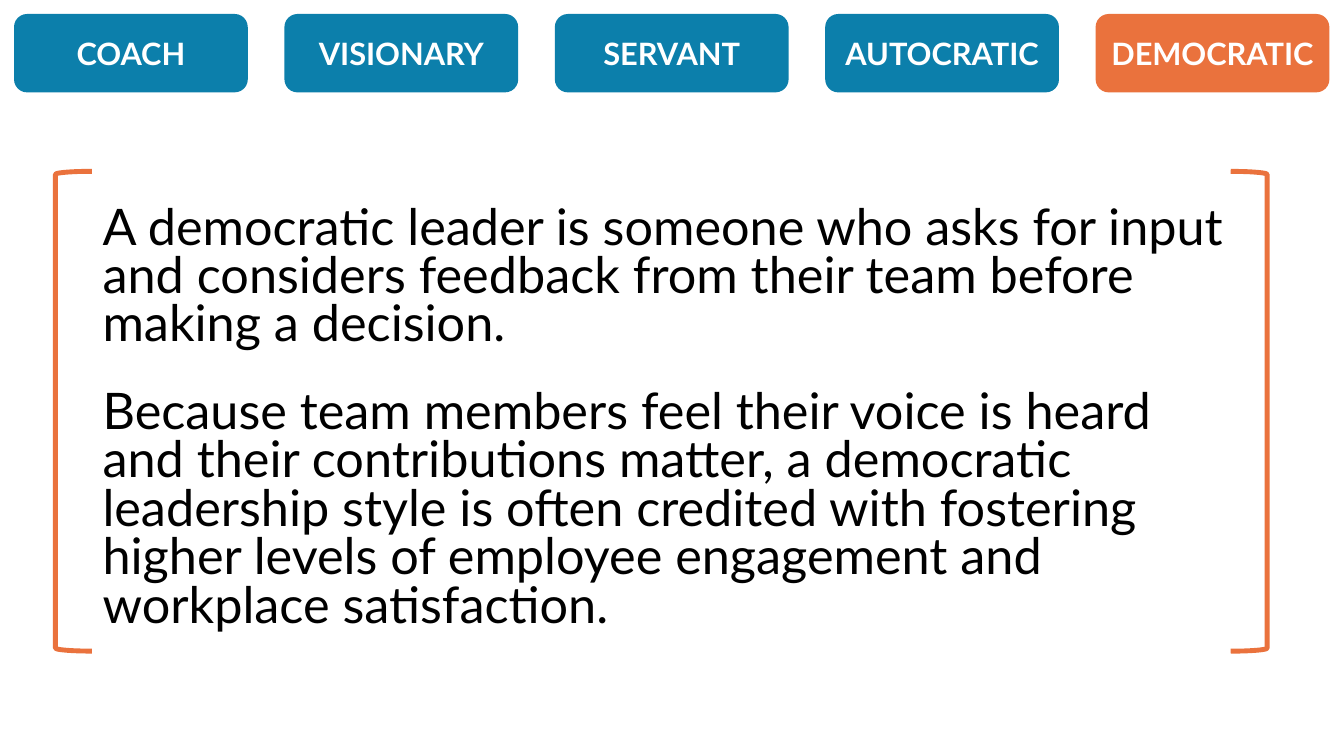
"""Builds the democratic leadership slide."""
from pptx import Presentation
from pptx.dml.color import RGBColor
from pptx.enum.shapes import MSO_SHAPE
from pptx.enum.text import MSO_ANCHOR, PP_ALIGN
from pptx.util import Pt

ROUNDED = MSO_SHAPE.ROUNDED_RECTANGLE
BRACKET = MSO_SHAPE.LEFT_BRACKET
MIDDLE = MSO_ANCHOR.MIDDLE
CENTER = PP_ALIGN.CENTER

FONT = "Lato"
BLUE, ORANGE, WHITE, BLACK = "0C7FAB", "EA723D", "FFFFFF", "000000"
STYLES = ["COACH", "VISIONARY", "SERVANT", "AUTOCRATIC", "DEMOCRATIC"]
CURRENT = "DEMOCRATIC"
TAB_LEFT, TAB_STEP = 10, 193.15
BODY = [
    "A democratic leader is someone who asks for input and considers "
    "feedback from their team before making a decision.",
    "Because team members feel their voice is heard and their contributions "
    "matter, a democratic leadership style is often credited with fostering "
    "higher levels of employee engagement and workplace satisfaction.",
]


def rgb(color):
    """Return a colour from its hex string."""
    return RGBColor.from_string(color)


def set_font(p, size, color, bold=False):
    """Set the font of a whole paragraph."""
    p.font.name = FONT
    p.font.size = Pt(size)
    p.font.bold = bold
    p.font.color.rgb = rgb(color)


def add_tab(s, text, left, color):
    """Add one labelled tab to the top row."""
    sp = s.shapes.add_shape(ROUNDED, Pt(left), Pt(10), Pt(167), Pt(56))
    sp.shadow.inherit = False
    sp.fill.solid()
    sp.fill.fore_color.rgb = rgb(color)
    sp.line.fill.background()
    tf = sp.text_frame
    tf.vertical_anchor = MIDDLE
    p = tf.paragraphs[0]
    p.text = text
    p.alignment = CENTER
    set_font(p, 22, WHITE, bold=True)


def add_bracket(s, left, rotation):
    """Add one bracket beside the body text."""
    sp = s.shapes.add_shape(BRACKET, Pt(left), Pt(122.4), Pt(26), Pt(342.7))
    sp.shadow.inherit = False
    sp.rotation = rotation
    sp.fill.background()
    sp.line.color.rgb = rgb(ORANGE)
    sp.line.width = Pt(3.5)


def add_body(s, texts):
    """Add the body text, one paragraph per string."""
    sp = s.shapes.add_textbox(Pt(66.2), Pt(144), Pt(828), Pt(342.7))
    tf = sp.text_frame
    tf.word_wrap = True
    for i, text in enumerate(texts):
        p = tf.add_paragraph() if i else tf.paragraphs[0]
        p.text = text
        p.line_spacing = 0.8
        p.space_before = Pt(10 if i else 0)
        p.space_after = Pt(18)
        set_font(p, 36, BLACK)


def main():
    """Build and save the slide."""
    prs = Presentation()
    prs.slide_width, prs.slide_height = Pt(960), Pt(540)
    s = prs.slides.add_slide(prs.slide_layouts[6])
    add_body(s, BODY)
    for i, style in enumerate(STYLES):
        color = ORANGE if style == CURRENT else BLUE
        add_tab(s, style, TAB_LEFT + i * TAB_STEP, color)
    add_bracket(s, 39.6, 0)
    add_bracket(s, 879.1, 180)
    prs.save("out.pptx")


if __name__ == "__main__":
    main()
